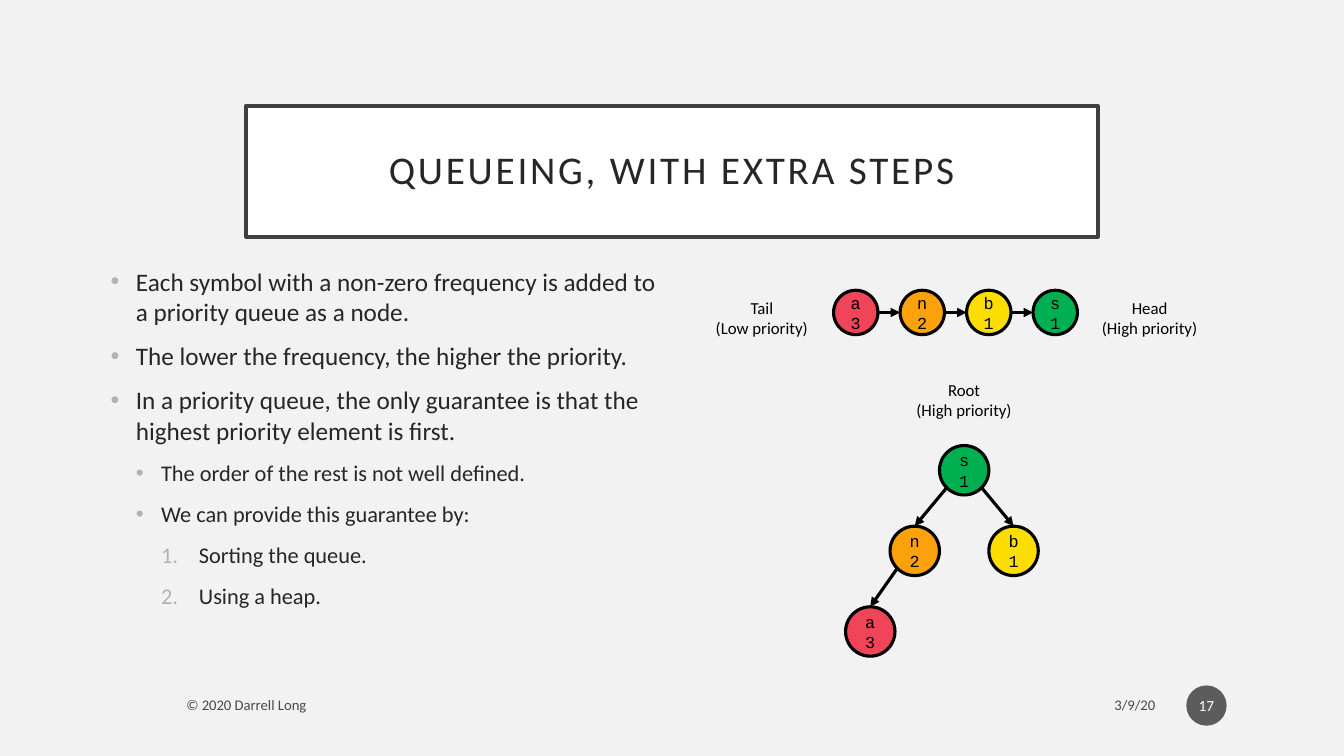
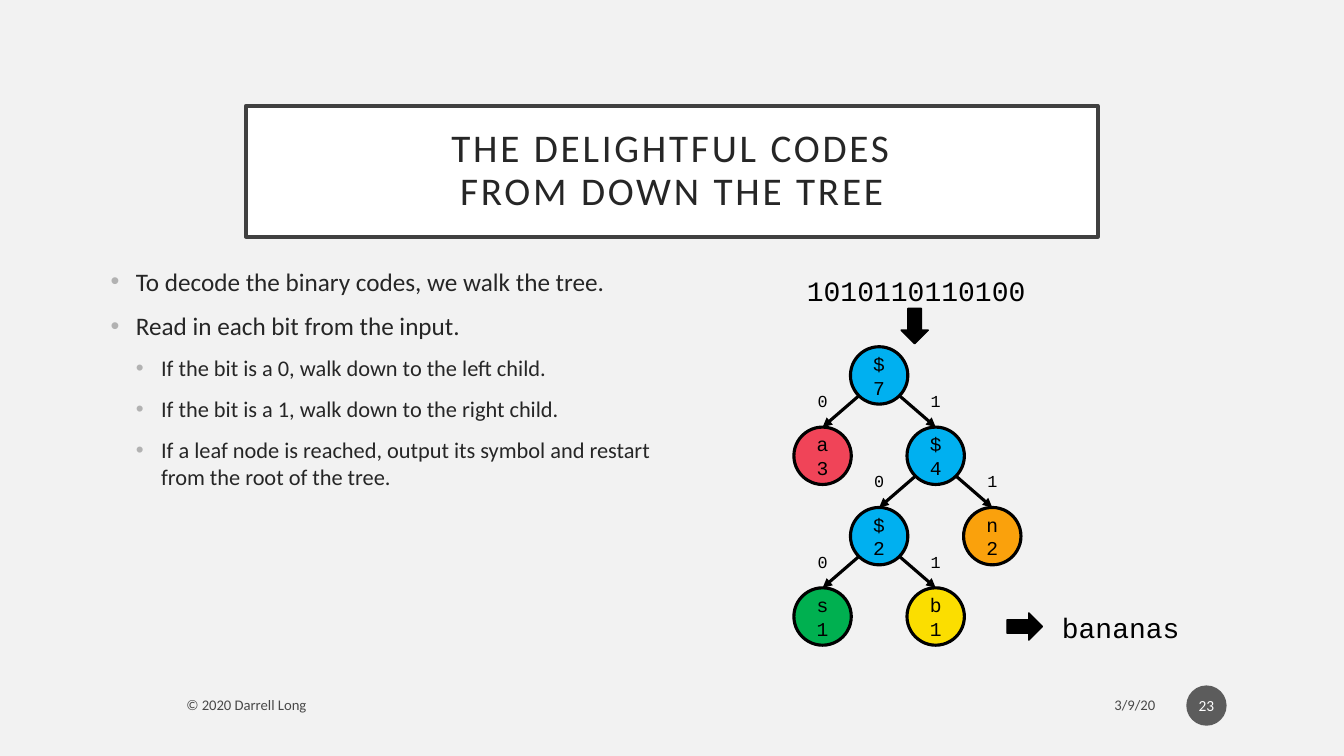
from math import sqrt

from lxml.etree import SubElement
from pptx import Presentation
from pptx.dml.color import RGBColor
from pptx.enum.shapes import MSO_CONNECTOR, MSO_SHAPE
from pptx.enum.text import MSO_ANCHOR, PP_ALIGN
from pptx.oxml.ns import qn
from pptx.util import Pt

COLORS = {
    "background": "F2F2F2", "panel": "FFFFFF", "border": "404040",
    "text": "262626", "bullet": "B2B2B2", "ink": "000000", "badge": "1D1D1D",
    "a": "F04458", "n": "FAA10C", "b": "FBDE00", "s": "00B050", "$": "00B0F0",
}
SANS, MONO = "Calibri", "Courier New"
LEVELS = [
    {"margin": 18, "hang": 18, "size": 18, "bullet": ("a:buChar", "char", "•")},
    {"margin": 36, "hang": 18, "size": 16, "bullet": ("a:buChar", "char", "•")},
    {"margin": 63, "hang": 27, "size": 16, "bullet": ("a:buAutoNum", "type", "arabicPeriod")},
]


def rgb(name):
    return RGBColor.from_string(COLORS[name])


def make_translucent(element, percent):
    color = next(element.iter(qn("a:srgbClr")))
    SubElement(color, qn("a:alpha")).set("val", str(percent * 1000))


def style_runs(paragraph, size, font=SANS, color="ink"):
    for run in paragraph.runs:
        for name, value in {"size": Pt(size), "name": font}.items():
            setattr(run.font, name, value)
        run.font.color.rgb = rgb(color)


def write(shape, text, size, font=SANS, color="ink", align=PP_ALIGN.CENTER,
          anchor=MSO_ANCHOR.MIDDLE, insets=(7.2, 3.6)):
    frame = shape.text_frame
    across, down = map(Pt, insets)
    layout = {"word_wrap": True, "vertical_anchor": anchor,
              "margin_left": across, "margin_right": across,
              "margin_top": down, "margin_bottom": down}
    for name, value in layout.items():
        setattr(frame, name, value)
    frame.text = text
    for paragraph in frame.paragraphs:
        paragraph.alignment = align
        style_runs(paragraph, size, font, color)
    return frame


def add_label(slide, box, text, size, **style):
    label = slide.shapes.add_textbox(*map(Pt, box))
    write(label, text, size, **style)
    return label


def add_figure(slide, preset, box, fill, line=None, width=0):
    figure = slide.shapes.add_shape(preset, *map(Pt, box))
    figure.shadow.inherit = False
    figure.fill.solid()
    figure.fill.fore_color.rgb = rgb(fill)
    if line:
        figure.line.color.rgb = rgb(line)
        figure.line.width = Pt(width)
    else:
        figure.line.fill.background()
    return figure


def add_node(slide, text, x, y, diameter, size):
    box = (x - diameter / 2, y - diameter / 2, diameter, diameter)
    node = add_figure(slide, MSO_SHAPE.OVAL, box, text[0], "ink", 2.25)
    write(node, text, size, font=MONO)
    return node


def add_arrow(slide, start, end):
    arrow = slide.shapes.add_connector(MSO_CONNECTOR.STRAIGHT, *map(Pt, start + end))
    arrow.line.color.rgb = rgb("ink")
    arrow.line.width = Pt(2.25)
    SubElement(arrow.line._get_or_add_ln(), qn("a:tailEnd")).set("type", "triangle")
    SubElement(arrow._element.spPr, qn("a:effectLst"))
    return arrow


def add_queue(slide, entries, x, y, diameter, pitch):
    for index, text in enumerate(entries):
        center = x + index * pitch
        add_node(slide, text, center, y, diameter, 12)
        if index:
            edge = center - diameter / 2
            add_arrow(slide, (edge - pitch + diameter, y), (edge, y))


def add_tree(slide, entries, origin, pitch, diameter, size, bits=False):
    placed = []
    for text, column, row, parent in entries:
        x, y = origin[0] + column * pitch[0], origin[1] + row * pitch[1]
        node = add_node(slide, text, x, y, diameter, size)
        placed.append((x, y))
        if parent is None:
            continue
        parent_x, parent_y = placed[parent]
        reach = diameter / 2 / sqrt(2)
        side = 1 if x > parent_x else -1
        start = (parent_x + side * reach, parent_y + reach)
        add_arrow(slide, start, (x, y - diameter / 2)).end_connect(node, 0)
        if bits:
            add_label(slide, (x - 12, y - 50, 24, 21.6),
                      "1" if side > 0 else "0", 12, font=MONO, anchor=MSO_ANCHOR.TOP)


def add_block_arrow(slide, left, top, rotation=0):
    arrow = add_figure(slide, MSO_SHAPE.DOWN_ARROW, (left, top, 19.4, 25.2), "ink", "ink", 1)
    arrow.rotation = rotation


def add_title(slide, text):
    panel = add_figure(slide, MSO_SHAPE.RECTANGLE, (175.6, 75.6, 608.6, 93.6),
                       "panel", "border", 2.5)
    frame = write(panel, text, 28, color="text", insets=(14.4, 14.4))
    for paragraph in frame.paragraphs:
        paragraph.line_spacing = 0.9
        for run in paragraph.runs:
            run._r.get_or_add_rPr().set("spc", "200")


def add_body(slide, points):
    frame = slide.shapes.add_textbox(*map(Pt, (72, 186.5, 408, 269.3))).text_frame
    frame.word_wrap = True
    for index, (level, text) in enumerate(points):
        paragraph = frame.add_paragraph() if index else frame.paragraphs[0]
        form = LEVELS[level]
        paragraph.level = level
        paragraph.space_before = Pt(10 if index else 0)
        properties = paragraph._p.get_or_add_pPr()
        properties.set("marL", str(Pt(form["margin"])))
        properties.set("indent", str(-Pt(form["hang"])))
        bullet_color = SubElement(properties, qn("a:buClr"))
        SubElement(bullet_color, qn("a:srgbClr")).set("val", COLORS["bullet"])
        SubElement(properties, qn("a:buFont")).set("typeface", "Arial")
        tag, attribute, value = form["bullet"]
        SubElement(properties, qn(tag)).set(attribute, value)
        paragraph.add_run().text = text
        style_runs(paragraph, form["size"], color="text")


def add_footer(slide, number):
    for left, width, text, align in (
        (615.6, 216.7, "3/9/20", PP_ALIGN.RIGHT),
        (126, 464.4, "© 2020 Darrell Long", PP_ALIGN.LEFT),
    ):
        note = add_label(slide, (left, 491, width, 25.2), text, 10.5, align=align)
        make_translucent(note._element, 70)
    badge = add_figure(slide, MSO_SHAPE.OVAL, (847.4, 489.6, 28.8, 28.8), "badge")
    make_translucent(badge._element, 70)
    write(badge, str(number), 11, color="panel", insets=(1.4, 3.6))


def start_slide(deck, title, points, number):
    slide = deck.slides.add_slide(deck.slide_layouts[6])
    slide.background.fill.solid()
    slide.background.fill.fore_color.rgb = rgb("background")
    add_title(slide, title)
    add_body(slide, points)
    add_footer(slide, number)
    return slide


def build_queue_slide(deck):
    slide = start_slide(deck, "QUEUEING, WITH EXTRA STEPS", [
        (0, "Each symbol with a non-zero frequency is added to a priority queue as a node."),
        (0, "The lower the frequency, the higher the priority."),
        (0, "In a priority queue, the only guarantee is that the highest priority element is first."),
        (1, "The order of the rest is not well defined."),
        (1, "We can provide this guarantee by:"),
        (2, "Sorting the queue."),
        (2, "Using a heap."),
    ], 17)
    add_queue(slide, ["a 3", "n 2", "b 1", "s 1"], 611.3, 223.2, 31.7, 47.5)
    for left, top, text in (
        (767.5, 208.8, "Head\n(High priority)"),
        (490.5, 208.8, "Tail\n(Low priority)"),
        (635, 267.8, "Root\n(High priority)"),
    ):
        add_label(slide, (left, top, 107.3, 38.2), text, 12, anchor=MSO_ANCHOR.TOP)
    add_tree(slide, [
        ("s 1", 0, 0, None), ("n 2", -1, 1, 0), ("b 1", 1, 1, 0), ("a 3", -1.9, 2, 1),
    ], (688.7, 335.9), (35.3, 57.6), 35.3, 12)


def build_decoding_slide(deck):
    slide = start_slide(deck, "THE DELIGHTFUL CODES\vFROM DOWN THE TREE", [
        (0, "To decode the binary codes, we walk the tree."),
        (0, "Read in each bit from the input."),
        (1, "If the bit is a 0, walk down to the left child."),
        (1, "If the bit is a 1, walk down to the right child."),
        (1, "If a leaf node is reached, output its symbol and restart from the root of the tree."),
    ], 23)
    add_tree(slide, [
        ("$ 7", 0, 0, None), ("a 3", -1, 1, 0), ("$ 4", 1, 1, 0), ("$ 2", 0, 2, 2),
        ("n 2", 2, 2, 2), ("s 1", -1, 3, 3), ("b 1", 1, 3, 3),
    ], (628, 268.2), (40.4, 57.4), 41, 14, bits=True)
    for left, top, text in ((568.1, 191.5, "1010110110100"), (714.2, 432.7, "bananas")):
        add_label(slide, (left, top, 172.8, 31.7), text, 20, font=MONO, anchor=MSO_ANCHOR.TOP)
    add_block_arrow(slide, 643.7, 220.3)
    add_block_arrow(slide, 722.2, 434.9, 270)


def main():
    deck = Presentation()
    deck.slide_width, deck.slide_height = Pt(960), Pt(540)
    build_queue_slide(deck)
    build_decoding_slide(deck)
    deck.save("out.pptx")


if __name__ == "__main__":
    main()
